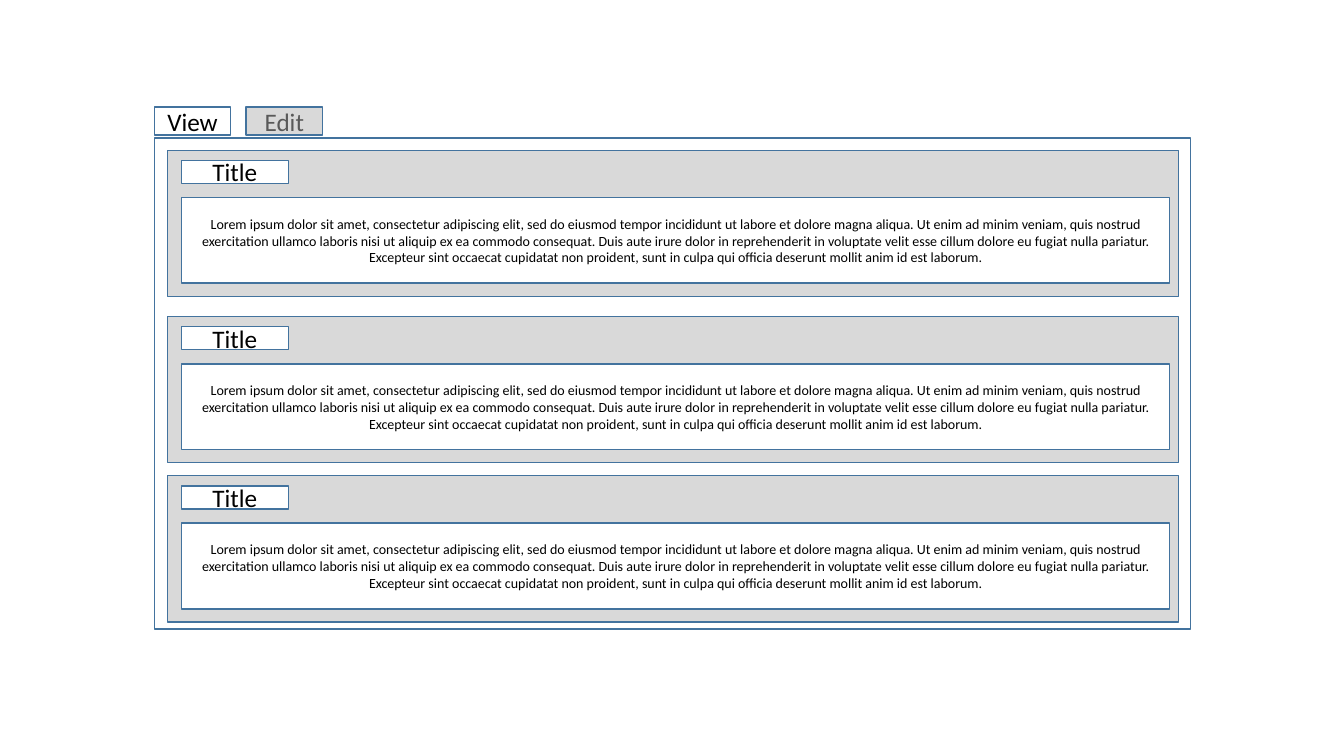
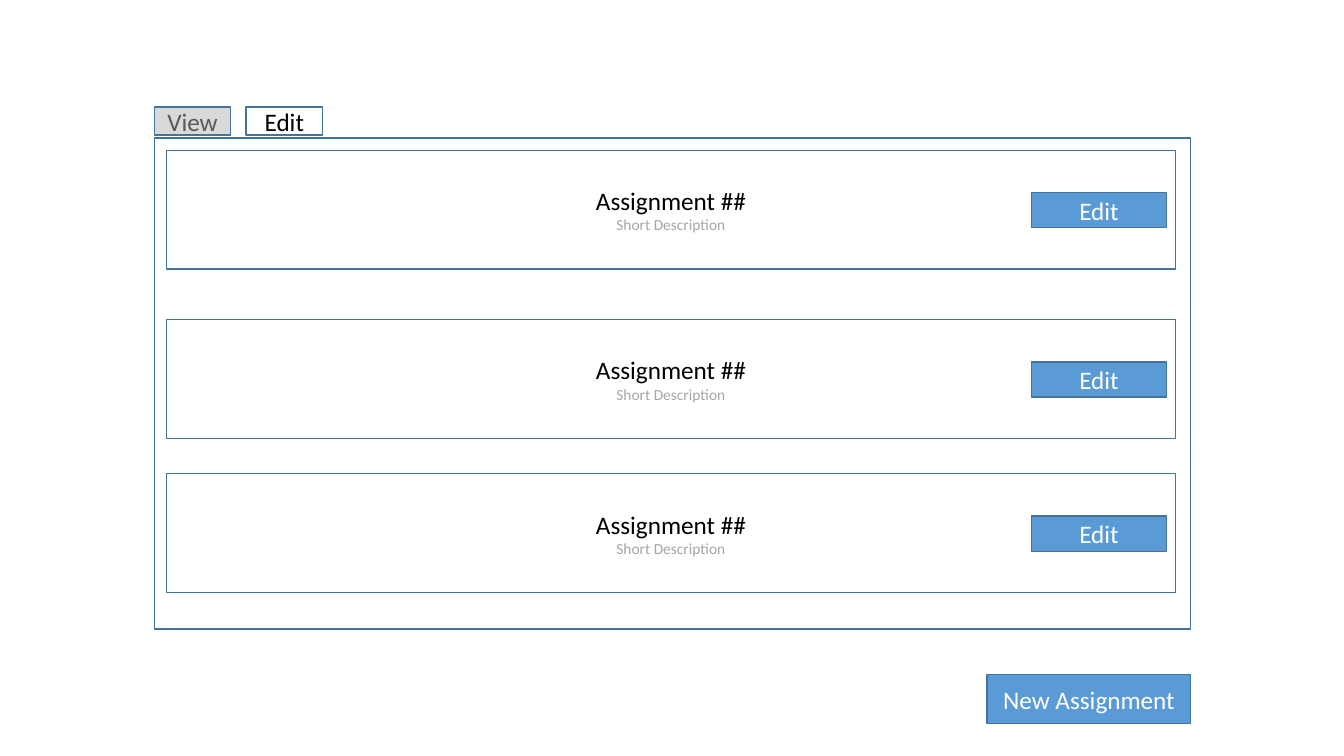
"""Build two wireframe slides: the View tab and the Edit tab of an assignment page."""
import dataclasses

import pptx
import pptx.dml.color
import pptx.enum.shapes
import pptx.enum.text
import pptx.util

EMU_PER_PX = 9144
SLIDE_SIZE = (1333, 750)
BLANK_LAYOUT = 6

PANEL = (153, 137, 1028, 487)
TAB_NAMES = ("View", "Edit")
TAB_TOP, TAB_WIDTH, TAB_HEIGHT, TAB_PITCH = 106, 76, 28, 91
CARD_TOPS = (149, 314, 472)
ROW_TOPS = (149, 317, 470)

LOREM = (
    "Lorem ipsum dolor sit amet, consectetur adipiscing elit, sed do eiusmod tempor "
    "incididunt ut labore et dolore magna aliqua. Ut enim ad minim veniam, quis nostrud "
    "exercitation ullamco laboris nisi ut aliquip ex ea commodo consequat. Duis aute irure "
    "dolor in reprehenderit in voluptate velit esse cillum dolore eu fugiat nulla pariatur. "
    "Excepteur sint occaecat cupidatat non proident, sunt in culpa qui officia deserunt "
    "mollit anim id est laborum."
)


@dataclasses.dataclass(frozen=True)
class Theme:
    """Colours, font and type sizes shared by both slides."""
    font: str = "Calibri"
    white: str = "FFFFFF"
    black: str = "000000"
    grey: str = "D9D9D9"
    inactive_text: str = "595959"
    muted_text: str = "A6A6A6"
    accent: str = "5B9BD5"
    outline: str = "43739E"
    outline_width: int = 1
    label_size: int = 18
    caption_size: int = 11
    body_size: int = 10


THEME = Theme()


def rgb(value):
    """Turn a hex string into a colour."""
    return pptx.dml.color.RGBColor.from_string(value)


def px(value):
    """Turn whole pixels into EMU."""
    return pptx.util.Emu(value * EMU_PER_PX)


def add_box(slide, bounds, fill, *lines):
    """Add an outlined rectangle with centred (text, size, colour) lines."""
    shape = slide.shapes.add_shape(
        pptx.enum.shapes.MSO_SHAPE.RECTANGLE, *map(px, bounds))
    shape.shadow.inherit = False
    shape.fill.solid()
    shape.fill.fore_color.rgb = rgb(fill)
    shape.line.color.rgb = rgb(THEME.outline)
    shape.line.width = pptx.util.Pt(THEME.outline_width)
    if not lines:
        return
    text_frame = shape.text_frame
    text_frame.word_wrap = True
    text_frame.vertical_anchor = pptx.enum.text.MSO_ANCHOR.MIDDLE
    text_frame.text = "\n".join(text for text, _, _ in lines)
    for paragraph, (_, size, color) in zip(text_frame.paragraphs, lines):
        paragraph.alignment = pptx.enum.text.PP_ALIGN.CENTER
        for run in paragraph.runs:
            run.font.name = THEME.font
            run.font.size = pptx.util.Pt(size)
            run.font.color.rgb = rgb(color)


def add_button(slide, bounds, label):
    """Add a filled button."""
    add_box(slide, bounds, THEME.accent, (label, THEME.label_size, THEME.white))


def add_tabbed_slide(presentation, active_tab):
    """Add a slide with the main panel and the tabs, one of them active."""
    slide = presentation.slides.add_slide(presentation.slide_layouts[BLANK_LAYOUT])
    add_box(slide, PANEL, THEME.white)
    for index, name in enumerate(TAB_NAMES):
        active = name == active_tab
        fill = THEME.white if active else THEME.grey
        color = THEME.black if active else THEME.inactive_text
        left = PANEL[0] + index * TAB_PITCH
        add_box(slide, (left, TAB_TOP, TAB_WIDTH, TAB_HEIGHT), fill,
                (name, THEME.label_size, color))
    return slide


def add_card(slide, top):
    """Add a grey card holding a title and a body text."""
    add_box(slide, (166, top, 1003, 145), THEME.grey)
    add_box(slide, (180, top + 10, 106, 23), THEME.white,
            ("Title", THEME.label_size, THEME.black))
    add_box(slide, (180, top + 47, 980, 85), THEME.white,
            (LOREM, THEME.body_size, THEME.black))


def add_assignment_row(slide, top):
    """Add an assignment with its description and edit button."""
    add_box(slide, (165, top, 1001, 118), THEME.white,
            ("Assignment ##", THEME.label_size, THEME.black),
            ("Short Description", THEME.caption_size, THEME.muted_text))
    add_button(slide, (1023, top + 42, 134, 35), "Edit")


def main():
    """Build and save the presentation."""
    presentation = pptx.Presentation()
    presentation.slide_width, presentation.slide_height = map(px, SLIDE_SIZE)

    view_slide = add_tabbed_slide(presentation, "View")
    for top in CARD_TOPS:
        add_card(view_slide, top)

    edit_slide = add_tabbed_slide(presentation, "Edit")
    for top in ROW_TOPS:
        add_assignment_row(edit_slide, top)
    add_button(edit_slide, (979, 669, 202, 49), "New Assignment")

    presentation.save("out.pptx")


if __name__ == "__main__":
    main()
